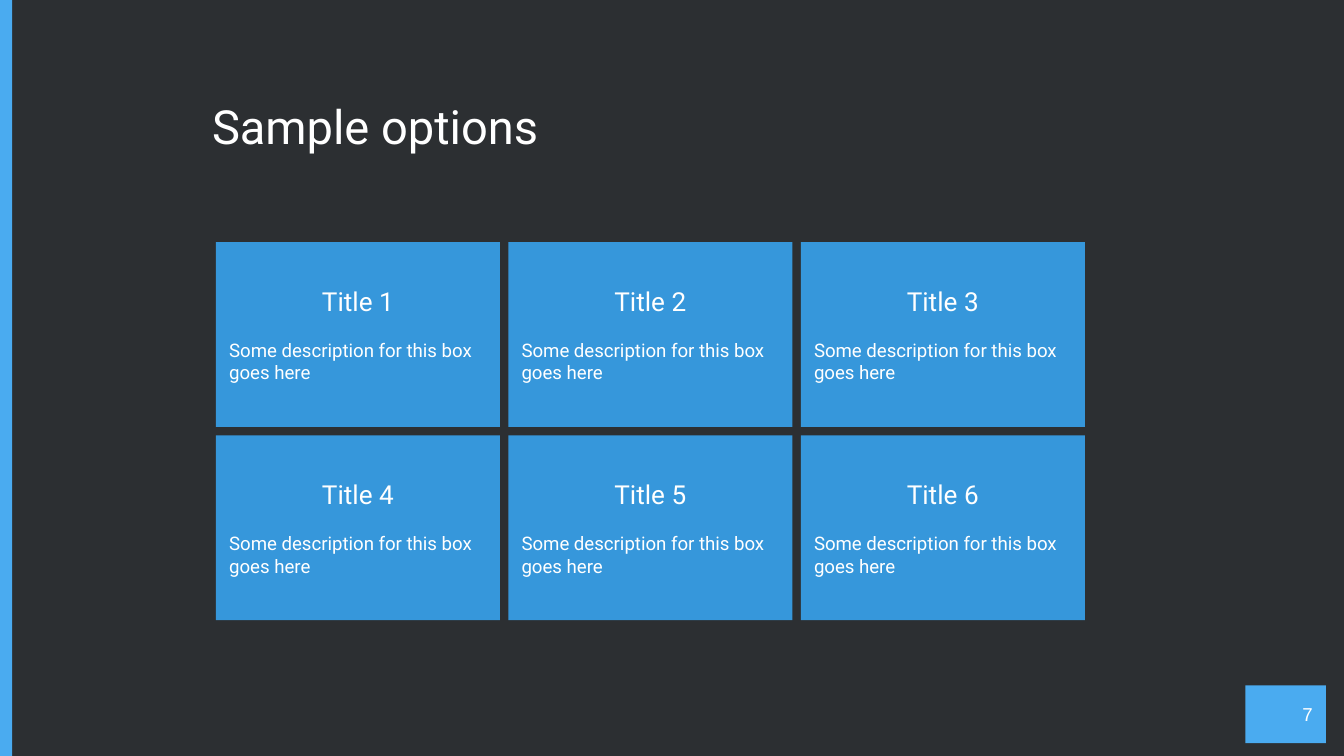
from dataclasses import dataclass

from pptx import Presentation
from pptx.dml.color import RGBColor
from pptx.enum.shapes import MSO_SHAPE
from pptx.enum.text import MSO_ANCHOR, PP_ALIGN
from pptx.util import Pt


@dataclass(frozen=True)
class Theme:
    """Colours, fonts and type sizes of the slide."""

    background: RGBColor = RGBColor(0x2C, 0x2F, 0x32)
    accent: RGBColor = RGBColor(0x4A, 0xAB, 0xF0)
    card: RGBColor = RGBColor(0x36, 0x97, 0xDB)
    ink: RGBColor = RGBColor(0xFF, 0xFF, 0xFF)
    font: str = "Roboto"
    number_font: str = "Arial"
    heading: float = 25.2
    card_title: float = 14
    small: float = 10
    inset: float = 7.2


THEME = Theme()


def add_text(frame, text, size, font=THEME.font, align=PP_ALIGN.LEFT, space_before=0):
    """Write one formatted paragraph, using the empty first one if it is free."""
    para = frame.paragraphs[0] if not frame.text else frame.add_paragraph()
    para.alignment = align
    para.space_before = Pt(space_before)
    span = para.add_run()
    span.text = text
    span.font.size = Pt(size)
    span.font.name = font
    span.font.color.rgb = THEME.ink


def prepare_frame(shape, anchor):
    """Set wrapping, insets and anchor, and return the text frame."""
    frame = shape.text_frame
    frame.word_wrap = True
    frame.vertical_anchor = anchor
    frame.margin_left = frame.margin_right = Pt(THEME.inset)
    frame.margin_top = frame.margin_bottom = Pt(THEME.inset)
    return frame


def add_panel(page, box, fill):
    """Draw a plain filled rectangle in the box."""
    panel = page.shapes.add_shape(MSO_SHAPE.RECTANGLE, *map(Pt, box))
    panel.shadow.inherit = False
    panel.fill.solid()
    panel.fill.fore_color.rgb = fill
    panel.line.fill.background()
    return panel


def add_heading(page, box, text):
    """Place the slide heading in the box."""
    heading = page.shapes.add_textbox(*map(Pt, box))
    add_text(prepare_frame(heading, MSO_ANCHOR.TOP), text, THEME.heading)


def add_card(page, box, title, description):
    """Place one option card with a centred title and a description."""
    frame = prepare_frame(add_panel(page, box, THEME.card), MSO_ANCHOR.MIDDLE)
    add_text(frame, title, THEME.card_title, align=PP_ALIGN.CENTER)
    add_text(frame, description, THEME.small, space_before=11.7)


def add_card_grid(page, box, columns, rows, gap, description):
    """Fill the box with equal numbered cards."""
    left, top, width, height = box
    card_width = (width - gap * (columns - 1)) / columns
    card_height = (height - gap * (rows - 1)) / rows
    for index in range(columns * rows):
        row, column = divmod(index, columns)
        card_box = (
            left + column * (card_width + gap),
            top + row * (card_height + gap),
            card_width,
            card_height,
        )
        add_card(page, card_box, f"Title {index + 1}", description)


def add_page_number(page, box, number):
    """Place the page number badge in the box."""
    frame = prepare_frame(add_panel(page, box, THEME.accent), MSO_ANCHOR.MIDDLE)
    add_text(frame, number, THEME.small, font=THEME.number_font, align=PP_ALIGN.RIGHT)


def main():
    """Build the slide and save the deck."""
    deck = Presentation()
    deck.slide_width, deck.slide_height = Pt(720), Pt(405)
    page = deck.slides.add_slide(deck.slide_layouts[6])
    page.background.fill.solid()
    page.background.fill.fore_color.rgb = THEME.background

    add_panel(page, (-6.5, -3.5, 13, 412), THEME.accent)
    add_heading(page, (106.5, 45.3, 506, 45.3), "Sample options")
    add_card_grid(
        page,
        (115.7, 129.7, 465.5, 202.5),
        columns=3,
        rows=2,
        gap=4.5,
        description="Some description for this box goes here",
    )
    add_page_number(page, (667.2, 367.2, 43.2, 31), "7")
    deck.save("out.pptx")


if __name__ == "__main__":
    main()
